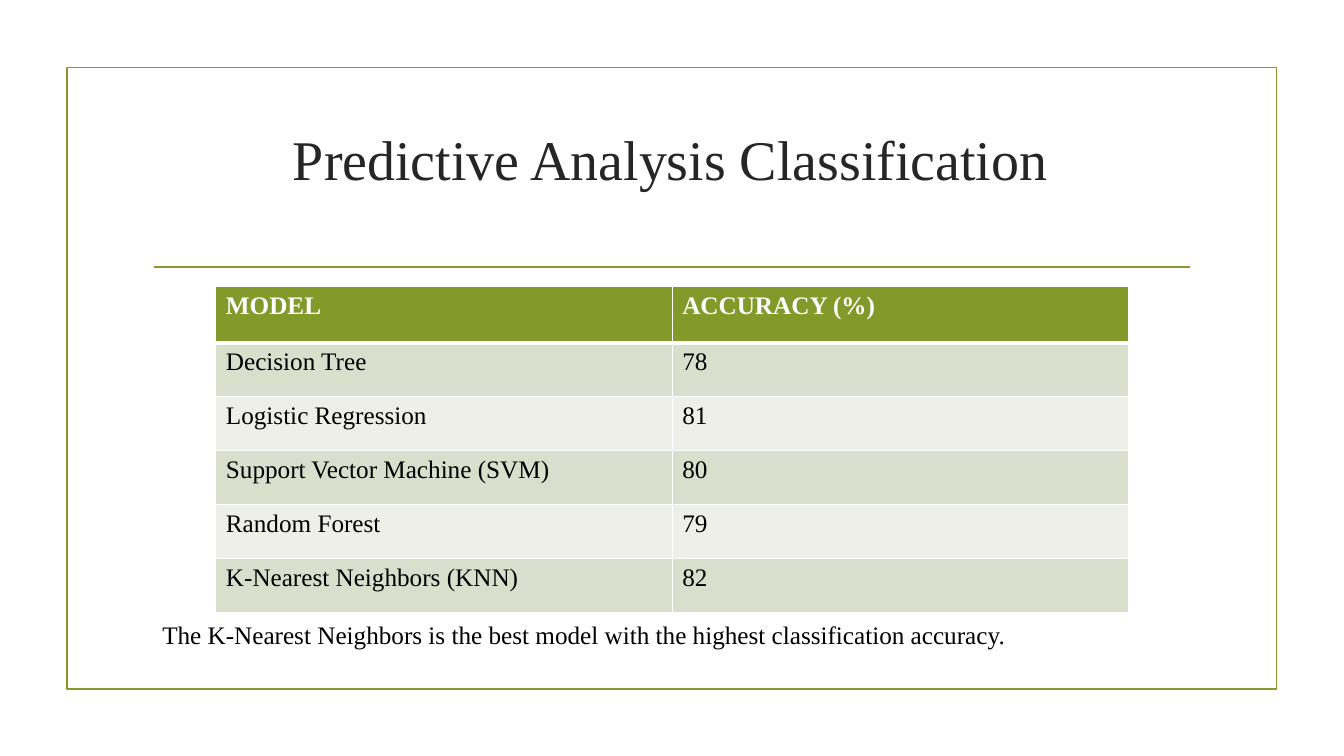
"""Build a slide that compares the accuracy of classification models."""
from dataclasses import dataclass

from lxml import etree
from pptx import Presentation
from pptx.dml.color import RGBColor
from pptx.enum import shapes, text
from pptx.oxml import ns
from pptx.util import Cm, Pt


@dataclass(frozen=True)
class Theme:
    font: str = "Times New Roman"
    green: str = "83992A"
    white: str = "FFFFFF"
    black: str = "000000"
    title_color: str = "262626"
    bands: tuple = ("D9DECD", "EDEFE8")
    title_size: int = 40
    body_size: int = 18
    line_width: float = 1.25
    border_width: int = 1
    header_border_width: int = 3


THEME = Theme()
ROWS = (
    ("MODEL", "ACCURACY (%)"),
    ("Decision Tree", "78"),
    ("Logistic Regression", "81"),
    ("Support Vector Machine (SVM)", "80"),
    ("Random Forest", "79"),
    ("K-Nearest Neighbors (KNN)", "82"),
)


def apply_format(target, values):
    for name, value in values.items():
        setattr(target, name, value)


def write_text(frame, content, size, color, bold=False, alignment=text.PP_ALIGN.LEFT):
    frame.text = content
    paragraph = frame.paragraphs[0]
    paragraph.alignment = alignment
    font = paragraph.runs[0].font
    apply_format(font, {"name": THEME.font, "size": Pt(size), "bold": bold})
    font.color.rgb = RGBColor.from_string(color)


def style_line(line):
    line.color.rgb = RGBColor.from_string(THEME.green)
    line.width = Pt(THEME.line_width)


def add_frame(slide, left, top, width, height):
    frame = slide.shapes.add_shape(shapes.MSO_SHAPE.RECTANGLE, left, top, width, height)
    frame.shadow.inherit = False
    frame.fill.background()
    style_line(frame.line)


def add_rule(slide, left, right, top):
    rule = slide.shapes.add_connector(shapes.MSO_CONNECTOR.STRAIGHT, left, top, right, top)
    style_line(rule.line)
    etree.SubElement(rule._element.spPr, ns.qn("a:effectLst"))


def format_title(slide, content, position):
    title = slide.shapes.title
    apply_format(title, position)
    write_text(title.text_frame, content, THEME.title_size, THEME.title_color,
               alignment=text.PP_ALIGN.CENTER)
    apply_format(title.text_frame, {
        "vertical_anchor": text.MSO_ANCHOR.MIDDLE,
        "auto_size": text.MSO_AUTO_SIZE.NONE,
        "word_wrap": True,
    })


def set_borders(cell, widths):
    properties = cell._tc.get_or_add_tcPr()
    for index, (side, width) in enumerate(widths.items()):
        border = etree.Element(ns.qn(f"a:ln{side}"), w=str(Pt(width)))
        fill = etree.SubElement(border, ns.qn("a:solidFill"))
        etree.SubElement(fill, ns.qn("a:srgbClr"), val=THEME.white)
        properties.insert(index, border)


def format_cell(cell, content, row_index):
    is_header = row_index == 0
    fill_color = THEME.green if is_header else THEME.bands[(row_index - 1) % 2]
    cell.fill.solid()
    cell.fill.fore_color.rgb = RGBColor.from_string(fill_color)
    write_text(cell.text_frame, content, THEME.body_size,
               THEME.white if is_header else THEME.black, is_header)
    thin, thick = THEME.border_width, THEME.header_border_width
    set_borders(cell, {
        "L": thin,
        "R": thin,
        "T": thick if row_index == 1 else thin,
        "B": thick if is_header else thin,
    })


def add_accuracy_table(slide, left, top, column_width, header_height, row_height):
    column_count = len(ROWS[0])
    height = header_height + row_height * (len(ROWS) - 1)
    table = slide.shapes.add_table(len(ROWS), column_count, left, top,
                                   column_width * column_count, height).table
    for column in table.columns:
        column.width = column_width
    for row_index, values in enumerate(ROWS):
        table.rows[row_index].height = row_height if row_index else header_height
        for column_index, value in enumerate(values):
            format_cell(table.cell(row_index, column_index), value, row_index)


def add_conclusion(slide, content, left, top, width, height):
    frame = slide.shapes.add_textbox(left, top, width, height).text_frame
    apply_format(frame, {
        "word_wrap": True,
        "auto_size": text.MSO_AUTO_SIZE.SHAPE_TO_FIT_TEXT,
    })
    write_text(frame, content, THEME.body_size, THEME.black)


def main():
    presentation = Presentation()
    apply_format(presentation, {"slide_width": Cm(33.87), "slide_height": Cm(19.05)})
    slide = presentation.slides.add_slide(presentation.slide_layouts.get_by_name("Title Only"))
    add_frame(slide, Cm(1.69), Cm(1.7), Cm(30.48), Cm(15.67))
    add_rule(slide, Cm(3.89), Cm(30), Cm(6.73))
    format_title(slide, "Predictive Analysis Classification", {
        "left": Cm(3.84), "top": Cm(2.34), "width": Cm(26.11), "height": Cm(3.28),
    })
    add_accuracy_table(slide, Cm(5.44), Cm(7.22), Cm(11.5), Cm(1.42), Cm(1.36))
    add_conclusion(
        slide,
        "The K-Nearest Neighbors is the best model with the highest classification accuracy.",
        Cm(3.84), Cm(15.47), Cm(28.24), Cm(1.02))
    presentation.save("out.pptx")


if __name__ == "__main__":
    main()
